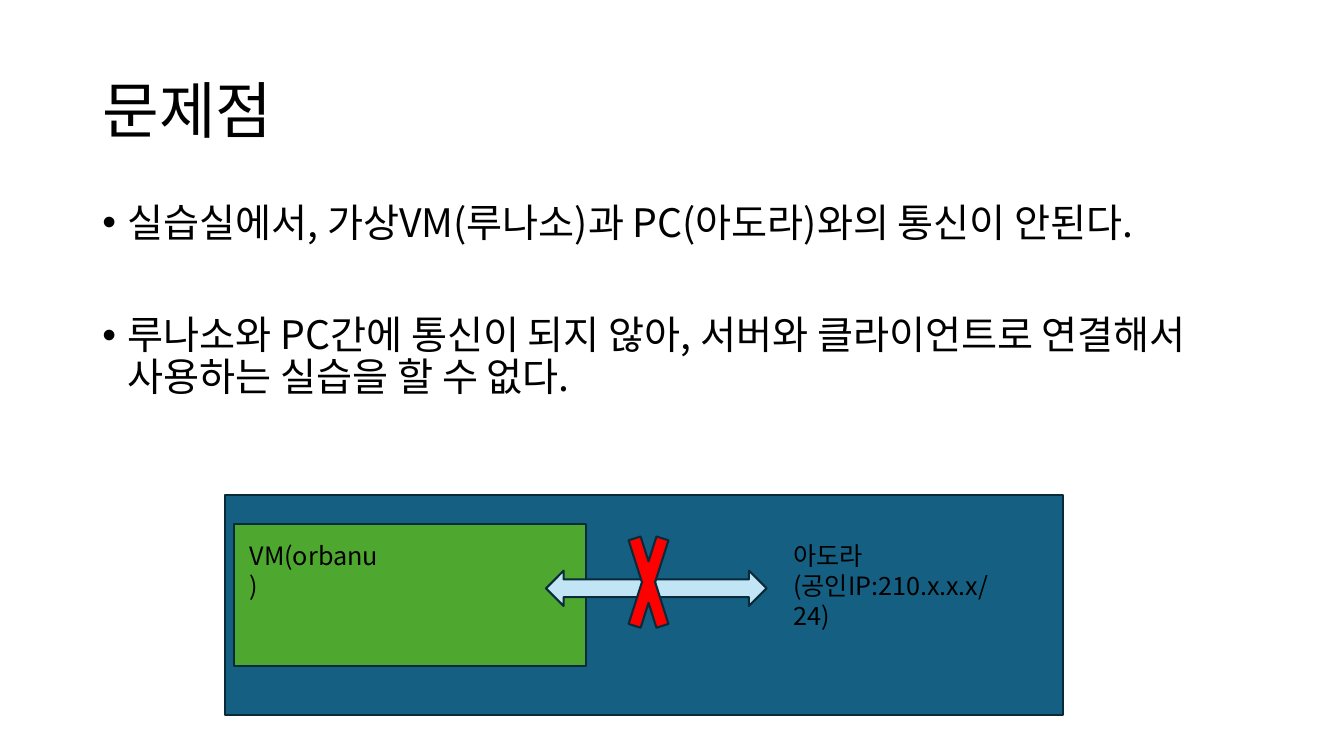
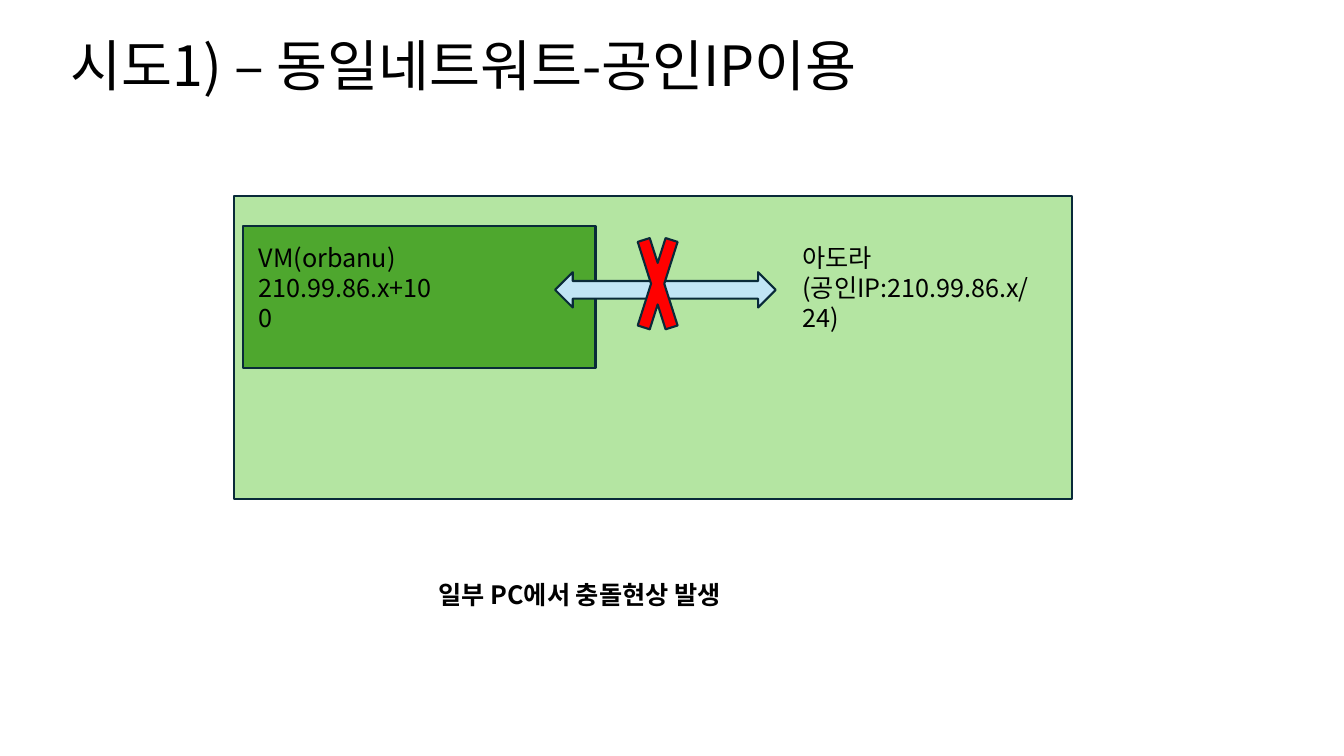
from lxml.etree import SubElement
from pptx import Presentation
from pptx.dml.color import RGBColor
from pptx.enum.shapes import MSO_SHAPE
from pptx.enum.text import MSO_ANCHOR, MSO_AUTO_SIZE, PP_ALIGN
from pptx.oxml.ns import qn
from pptx.util import Cm, Pt

TITLE_ONLY = 5


def color(hex_string):
    return RGBColor.from_string(hex_string)


class Deck:
    """Holds the shared style and the slide being built."""

    FONT = "Noto Sans CJK KR"
    TEXT = "000000"
    OUTLINE = "092A39"
    VM_FILL = "4EA72E"
    ARROW_FILL = "C1E5F5"
    CROSS_FILL = "FF0000"

    def __init__(self):
        self.presentation = Presentation()
        self.presentation.slide_width = Cm(33.87)
        self.presentation.slide_height = Cm(19.05)
        self.slide = None

    def add_slide(self):
        layout = self.presentation.slide_layouts[TITLE_ONLY]
        self.slide = self.presentation.slides.add_slide(layout)

    def format_paragraph(self, paragraph, size, bold=False):
        paragraph.alignment = PP_ALIGN.LEFT
        for run in paragraph.runs:
            run.font.name = self.FONT
            run.font.size = Pt(size)
            run.font.bold = bold
            run.font.color.rgb = color(self.TEXT)
            east_asian = SubElement(run.font._element, qn("a:ea"))
            east_asian.set("typeface", self.FONT)

    def title(self, text, left, top, width, height, size):
        title = self.slide.shapes.title
        title.left, title.top = Cm(left), Cm(top)
        title.width, title.height = Cm(width), Cm(height)
        frame = title.text_frame
        frame.text = text
        frame.auto_size = MSO_AUTO_SIZE.NONE
        frame.vertical_anchor = MSO_ANCHOR.MIDDLE
        frame.paragraphs[0].line_spacing = 0.9
        self.format_paragraph(frame.paragraphs[0], size)

    def text_box(self, lines, left, top, width, height, size=18, bold=False):
        box = self.slide.shapes.add_textbox(Cm(left), Cm(top), Cm(width), Cm(height))
        frame = box.text_frame
        frame.word_wrap = True
        frame.text = "\n".join(lines)
        for paragraph in frame.paragraphs:
            self.format_paragraph(paragraph, size, bold)
        return frame

    def bullets(self, lines, left, top, width, height, gap):
        frame = self.text_box(lines, left, top, width, height, size=28)
        for index, paragraph in enumerate(frame.paragraphs):
            paragraph.line_spacing = 0.9
            paragraph.space_before = Pt(gap if index else 10)
            properties = paragraph._p.get_or_add_pPr()
            properties.set("marL", str(Cm(0.64)))
            properties.set("indent", str(-Cm(0.64)))
            SubElement(properties, qn("a:buFont")).set("typeface", "Arial")
            SubElement(properties, qn("a:buChar")).set("char", "•")

    def shape(self, kind, left, top, width, height, fill):
        shape = self.slide.shapes.add_shape(kind, Cm(left), Cm(top), Cm(width), Cm(height))
        shape.shadow.inherit = False
        shape.fill.solid()
        shape.fill.fore_color.rgb = color(fill)
        shape.line.color.rgb = color(self.OUTLINE)
        shape.line.width = Pt(1.5)

    def blocked_link(self, left, top, height, fill, vm, vm_width, host, host_width):
        """Draws a PC panel holding a VM whose link to the host is crossed out."""
        label_top, label_height = top + 1.02, 1.8
        self.shape(MSO_SHAPE.RECTANGLE, left, top, 21.13, height, fill)
        self.shape(MSO_SHAPE.RECTANGLE, left + 0.23, top + 0.74, 8.89, 3.58, self.VM_FILL)
        self.text_box(vm, left + 0.38, label_top, vm_width, label_height)
        self.text_box(host, left + 14.08, label_top, host_width, label_height)
        self.shape(MSO_SHAPE.LEFT_RIGHT_ARROW, left + 8.1, top + 1.91, 5.56, 0.89,
                   self.ARROW_FILL)
        self.shape(MSO_SHAPE.MATH_MULTIPLY, left + 10.01, top + 0.08, 1.35, 4.24,
                   self.CROSS_FILL)


def problem_slide(deck):
    deck.add_slide()
    deck.title("문제점", 2.33, 1.02, 29.21, 3.68, size=44)
    deck.bullets(
        ["실습실에서, 가상VM(루나소)과 PC(아도라)와의 통신이 안된다.",
         "루나소와 PC간에 통신이 되지 않아, 서버와 클라이언트로 연결해서 "
         "사용하는 실습을 할 수 없다."],
        2.33, 5, 29.21, 6.63, gap=50)
    deck.blocked_link(5.66, 12.47, 5.56, "156082",
                      ["VM(orbanu)"], 3.75,
                      ["아도라", "(공인IP:210.x.x.x/24)"], 6.2)


def public_address_slide(deck):
    deck.add_slide()
    deck.title("시도1) – 동일네트워트-공인IP이용", 1.52, 1.04, 23.52, 1.37, size=39.6)
    deck.blocked_link(5.89, 4.95, 7.62, "B4E5A2",
                      ["VM(orbanu)", "210.99.86.x+100"], 5.21,
                      ["아도라", "(공인IP:210.99.86.x/24)"], 7.01)
    deck.text_box(["일부 PC에서 충돌현상 발생"], 10.8, 14.48, 8.38, 1.02, bold=True)


def main():
    deck = Deck()
    problem_slide(deck)
    public_address_slide(deck)
    deck.presentation.save("out.pptx")


if __name__ == "__main__":
    main()
